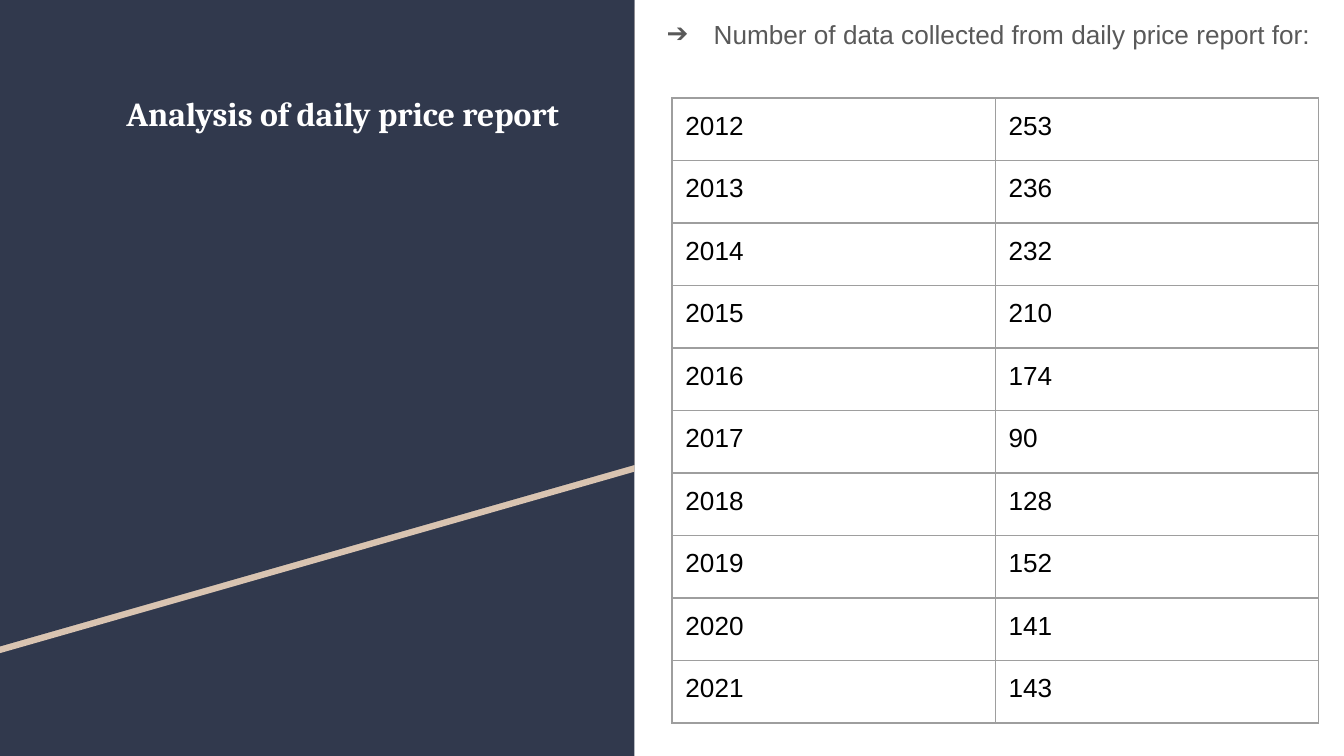
"""Build the daily price report slide with its yearly record counts."""
from lxml import etree
from pptx import Presentation
from pptx.dml.color import RGBColor
from pptx.enum import shapes, text
from pptx.oxml import ns
from pptx.util import Inches, Pt

HEADING = "Analysis of daily price report"
INTRO = "Number of data collected from daily price report for:"
COUNTS = [
    ("2012", "253"), ("2013", "236"), ("2014", "232"), ("2015", "210"),
    ("2016", "174"), ("2017", "90"), ("2018", "128"), ("2019", "152"),
    ("2020", "141"), ("2021", "143"),
]
THEME = {
    "navy": "31394D", "sand": "D9C4B1", "white": "FFFFFF", "grey": "595959",
    "black": "000000", "border": "9E9E9E", "heading_font": "Cambria",
    "body_font": "Arial", "heading_size": 18, "body_size": 14, "border_width": 0.75,
}
SLIDE_WIDTH = 10
SLIDE_HEIGHT = SLIDE_WIDTH * 9 / 16
PANEL_WIDTH, SLOPE_LEFT, SLOPE_RIGHT, STRIPE = 4.72, 4.81, 3.46, 0.05
TABLE_LEFT, TABLE_TOP, TABLE_WIDTH, TABLE_HEIGHT = 5, 0.73, 4.81, 4.65
INSET = 0.1


def color(name):
    return RGBColor.from_string(THEME[name])


def paint_panel(panel, fill):
    panel.shadow.inherit = False
    panel.fill.solid()
    panel.fill.fore_color.rgb = color(fill)
    panel.line.fill.background()


def add_sloped_panel(slide, top, fill):
    """Draw a panel whose lower edge rises to the right."""
    builder = slide.shapes.build_freeform(0, Inches(top))
    builder.add_line_segments([
        (Inches(x), Inches(y + top)) for x, y in
        [(PANEL_WIDTH, 0), (PANEL_WIDTH, SLOPE_RIGHT), (0, SLOPE_LEFT)]
    ])
    paint_panel(builder.convert_to_shape(), fill)


def style(paragraph, role, ink, bold=False):
    font = paragraph.font
    font.name, font.size = THEME[role + "_font"], Pt(THEME[role + "_size"])
    font.bold, font.color.rgb = bold, color(ink)


def set_margins(area):
    area.margin_left = area.margin_right = Inches(INSET)
    area.margin_top = area.margin_bottom = Inches(INSET)


def fill_placeholder(holder, box, words, first_indent):
    """Place a placeholder and return its indented paragraph."""
    holder.left, holder.top, holder.width, holder.height = map(Inches, box)
    frame = holder.text_frame
    frame.text = words
    frame.word_wrap = True
    frame.auto_size = text.MSO_AUTO_SIZE.NONE
    frame.vertical_anchor = text.MSO_ANCHOR.TOP
    set_margins(frame)
    paragraph = frame.paragraphs[0]
    paragraph.alignment = text.PP_ALIGN.LEFT
    paragraph.line_spacing = 1.15
    paragraph.space_before = Pt(0)
    properties = paragraph._p.get_or_add_pPr()
    properties.set("marL", str(Inches(0.5)))
    properties.set("indent", str(Inches(first_indent)))
    return paragraph


def add_bullet(paragraph, mark, ink):
    properties = paragraph._p.get_or_add_pPr()
    tint = etree.SubElement(properties, ns.qn("a:buClr"))
    etree.SubElement(tint, ns.qn("a:srgbClr"), val=THEME[ink])
    etree.SubElement(properties, ns.qn("a:buFont"), typeface=THEME["body_font"])
    etree.SubElement(properties, ns.qn("a:buChar"), char=mark)


def add_borders(cell):
    properties = cell._tc.get_or_add_tcPr()
    for position, side in enumerate(("lnL", "lnR", "lnT", "lnB")):
        edge = etree.Element(ns.qn("a:" + side), w=str(Pt(THEME["border_width"])))
        paint = etree.SubElement(edge, ns.qn("a:solidFill"))
        etree.SubElement(paint, ns.qn("a:srgbClr"), val=THEME["border"])
        properties.insert(position, edge)


def add_counts(slide):
    table = slide.shapes.add_table(
        len(COUNTS), len(COUNTS[0]), Inches(TABLE_LEFT), Inches(TABLE_TOP),
        Inches(TABLE_WIDTH), Inches(TABLE_HEIGHT)).table
    table.first_row = table.horz_banding = False
    for row, record in enumerate(COUNTS):
        for column, value in enumerate(record):
            cell = table.cell(row, column)
            cell.text = value
            set_margins(cell)
            cell.fill.background()
            add_borders(cell)
            style(cell.text_frame.paragraphs[0], "body", "black")


def main():
    deck = Presentation()
    deck.slide_width, deck.slide_height = Inches(SLIDE_WIDTH), Inches(SLIDE_HEIGHT)
    slide = deck.slides.add_slide(deck.slide_layouts[1])
    title, body = slide.placeholders

    base = slide.shapes.add_shape(
        shapes.MSO_SHAPE.RECTANGLE, 0, 0, Inches(PANEL_WIDTH), Inches(SLIDE_HEIGHT))
    paint_panel(base, "navy")
    add_sloped_panel(slide, STRIPE, "sand")
    add_sloped_panel(slide, 0, "navy")
    for holder in (title, body):
        slide.shapes._spTree.append(holder._element)

    heading = fill_placeholder(title, (0.34, 0.55, 4.05, 2.74), HEADING, 0)
    heading.space_after = Pt(12)
    style(heading, "heading", "white", bold=True)
    intro = fill_placeholder(
        body, (4.71, 0, SLIDE_WIDTH - 4.71, SLIDE_HEIGHT), INTRO, -0.35)
    add_bullet(intro, "➔", "grey")
    style(intro, "body", "grey")
    add_counts(slide)
    deck.save("out.pptx")


if __name__ == "__main__":
    main()
